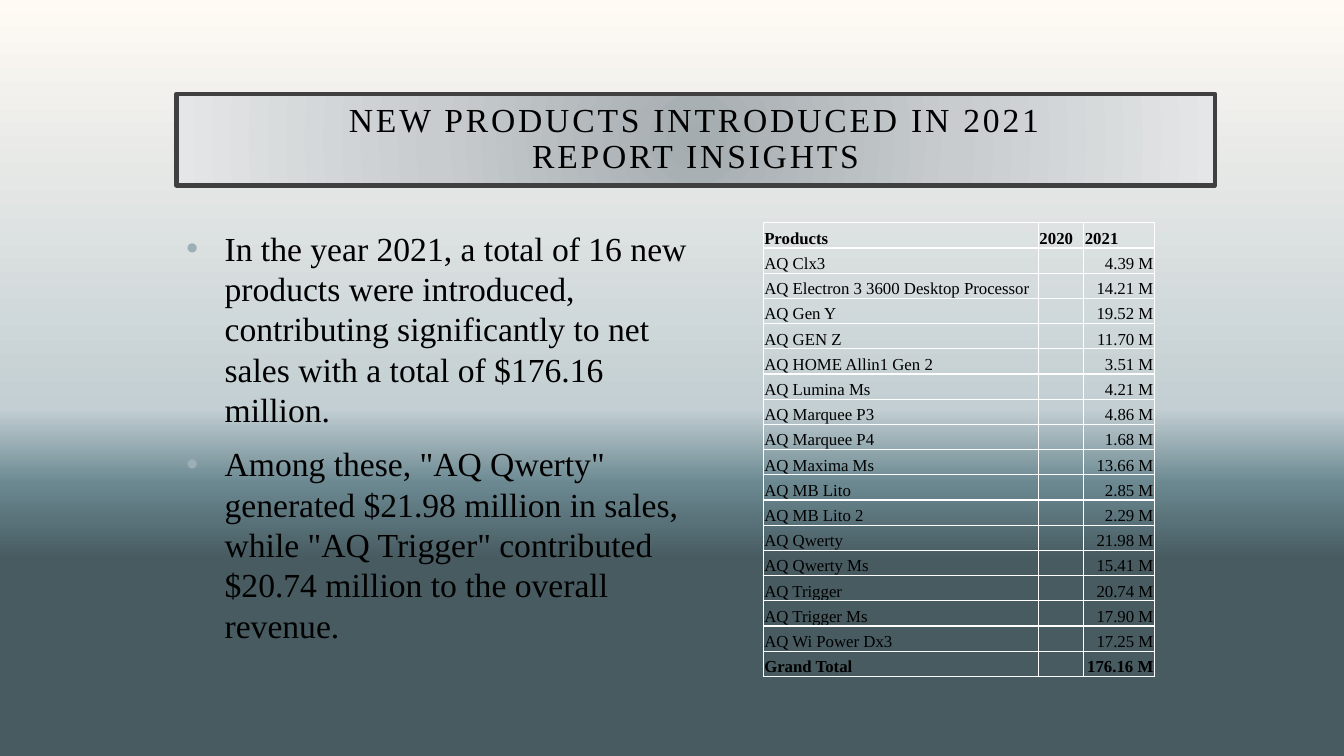
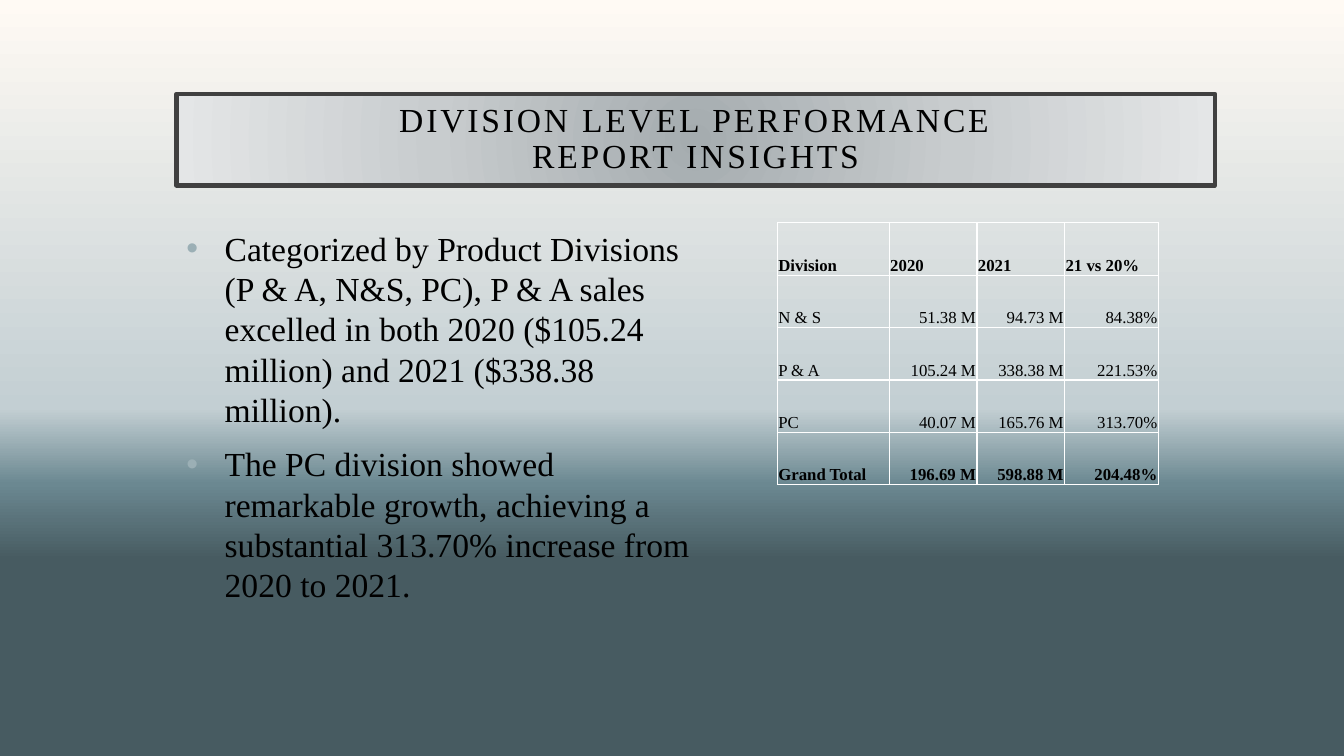
from lxml import etree
from pptx import Presentation
from pptx.dml.color import RGBColor
from pptx.enum.text import MSO_ANCHOR, MSO_AUTO_SIZE, PP_ALIGN
from pptx.oxml.ns import qn
from pptx.util import Inches, Pt

MIDDLE = MSO_ANCHOR.MIDDLE
BOTTOM = MSO_ANCHOR.BOTTOM
TOP = MSO_ANCHOR.TOP
NO_FIT = MSO_AUTO_SIZE.NONE
CENTER = PP_ALIGN.CENTER
LEFT = PP_ALIGN.LEFT
RIGHT = PP_ALIGN.RIGHT

FONT = "Times New Roman"
NS = "http://schemas.openxmlformats.org/drawingml/2006/main"
COLORS = {
    "text": "000000",
    "frame": "404040",
    "bullet": "9BAFB5",
    "grid": "FFFFFF",
}
SKY = [(0, "FFFAF4"), (54, "C3CFD3"), (64, "6B8891"), (74, "475B61")]
STEEL = [(0, "A5ACAF"), (50, "C8CCCE"), (100, "E4E6E7")]
DOWN = '<a:lin ang="5400000" scaled="0"/>'
ROUND = ('<a:path path="circle"><a:fillToRect l="50000" t="50000" '
         'r="50000" b="50000"/></a:path>')


def node(tag, inner="", attrs=""):
    return etree.fromstring(f'<a:{tag} xmlns:a="{NS}" {attrs}>{inner}</a:{tag}>')


def tint(color):
    return f'<a:srgbClr val="{color}"/>'


def blend(fill, parent, stops, way):
    fill.solid()
    marks = "".join(f'<a:gs pos="{pos * 1000}">{tint(color)}</a:gs>'
                    for pos, color in stops)
    old = parent.find(qn("a:solidFill"))
    parent.replace(old, node("gradFill", f"<a:gsLst>{marks}</a:gsLst>{way}"))


class Deck:
    def __init__(self):
        self.prs = Presentation()
        self.prs.slide_width = Inches(13.33)
        self.prs.slide_height = Inches(7.5)
        master = self.prs.slide_master
        fill = master.background.fill
        blend(fill, master._element.find(".//" + qn("p:bgPr")), SKY, DOWN)
        self.slide = None

    def style(self, para, size, bold=False):
        for run in para.runs:
            font = run.font
            font.name = FONT
            font.size = Pt(size)
            font.bold = bold
            font.color.rgb = RGBColor.from_string(COLORS["text"])

    def title(self, text):
        self.slide = self.prs.slides.add_slide(self.prs.slide_layouts[5])
        box = self.slide.shapes.title
        box.left, box.top = Inches(1.75), Inches(0.93)
        box.width, box.height = Inches(10.3), Inches(0.91)
        blend(box.fill, box._element.spPr, STEEL, ROUND)
        box.line.color.rgb = RGBColor.from_string(COLORS["frame"])
        box.line.width = Pt(3)
        frame = box.text_frame
        frame.auto_size = NO_FIT
        frame.word_wrap = True
        frame.vertical_anchor = MIDDLE
        frame.margin_left = frame.margin_right = Inches(0.3)
        frame.margin_top = frame.margin_bottom = Inches(0.2)
        para = frame.paragraphs[0]
        para.text = text
        para.alignment = CENTER
        para.line_spacing = 0.9
        self.style(para, 24)
        for run in para.runs:
            run._r.get_or_add_rPr().set("spc", "200")

    def bullets(self, items):
        box = self.slide.shapes.add_textbox(
            Inches(1.75), Inches(2.21), Inches(10.3), Inches(4.75))
        frame = box.text_frame
        frame.word_wrap = True
        frame.vertical_anchor = TOP
        frame._txBody.bodyPr.set("numCol", "2")
        for i, item in enumerate(items):
            para = frame.add_paragraph() if i else frame.paragraphs[0]
            para.text = item
            para.space_before = Pt(10)
            self.style(para, 24)
            props = para._p.get_or_add_pPr()
            props.set("marL", str(Inches(0.38)))
            props.set("indent", str(Inches(-0.38)))
            props.append(node("buClr", tint(COLORS["bullet"])))
            props.append(node("buFont", attrs='typeface="Arial"'))
            props.append(node("buChar", attrs='char="•"'))

    def cell(self, cell, text, bold, align):
        cell.fill.background()
        cell.vertical_anchor = BOTTOM
        cell.margin_left = cell.margin_right = cell.margin_top = Inches(0.01)
        cell.margin_bottom = 0
        para = cell.text_frame.paragraphs[0]
        para.text = text
        para.alignment = align
        self.style(para, 12, bold)
        if not text:
            para._p.get_or_add_endParaRPr().set("sz", "1200")
        props = cell._tc.get_or_add_tcPr()
        line = f'<a:solidFill>{tint(COLORS["grid"])}</a:solidFill>'
        for i, side in enumerate("LRTB"):
            props.insert(i, node("ln" + side, line, f'w="{Pt(1)}"'))

    def table(self, left, widths, height, rows):
        table = self.slide.shapes.add_table(
            len(rows), len(widths), Inches(left), Inches(2.21),
            Inches(sum(widths)), Inches(height * len(rows))).table
        table.first_row = table.horz_banding = False
        for col, width in zip(table.columns, widths):
            col.width = Inches(width)
        last = len(rows) - 1
        for r, row in enumerate(rows):
            table.rows[r].height = Inches(height)
            for c, text in enumerate(row):
                align = RIGHT if r and c else LEFT
                self.cell(table.cell(r, c), text, r in (0, last), align)


SALES = [
    ("AQ Clx3", "4.39"),
    ("AQ Electron 3 3600 Desktop Processor", "14.21"),
    ("AQ Gen Y", "19.52"),
    ("AQ GEN Z", "11.70"),
    ("AQ HOME Allin1 Gen 2", "3.51"),
    ("AQ Lumina Ms", "4.21"),
    ("AQ Marquee P3", "4.86"),
    ("AQ Marquee P4", "1.68"),
    ("AQ Maxima Ms", "13.66"),
    ("AQ MB Lito", "2.85"),
    ("AQ MB Lito 2", "2.29"),
    ("AQ Qwerty", "21.98"),
    ("AQ Qwerty Ms", "15.41"),
    ("AQ Trigger", "20.74"),
    ("AQ Trigger Ms", "17.90"),
    ("AQ Wi Power Dx3", "17.25"),
    ("Grand Total", "176.16"),
]
GROWTH = [
    ("Division", "2020", "2021", "21 vs 20%"),
    ("N & S", "51.38 M", "94.73 M", "84.38%"),
    ("P & A", "105.24 M", "338.38 M", "221.53%"),
    ("PC", "40.07 M", "165.76 M", "313.70%"),
    ("Grand Total", "196.69 M", "598.88 M", "204.48%"),
]

deck = Deck()

deck.title("NEW PRODUCTS INTRODUCED IN 2021\vREPORT INSIGHTS")
deck.bullets([
    "In the year 2021, a total of 16 new products were introduced, "
    "contributing significantly to net sales with a total of $176.16 million. ",
    'Among these, "AQ Qwerty" generated $21.98 million in sales, while '
    '"AQ Trigger" contributed $20.74 million to the overall revenue.',
])
deck.table(7.57, [2.73, 0.45, 0.7], 0.25,
           [("Products", "2020", "2021")]
           + [(name, "", f"{value} M") for name, value in SALES])

deck.title("DIVISION LEVEL PERFORMANCE\vREPORT INSIGHTS")
deck.bullets([
    "Categorized by Product Divisions (P & A, N&S, PC), P & A sales excelled "
    "in both 2020 ($105.24 million) and 2021 ($338.38 million). ",
    "The PC division showed remarkable growth, achieving a substantial "
    "313.70% increase from 2020 to 2021.",
])
deck.table(7.71, [1.11, 0.87, 0.87, 0.93], 0.52, GROWTH)

deck.prs.save("out.pptx")
